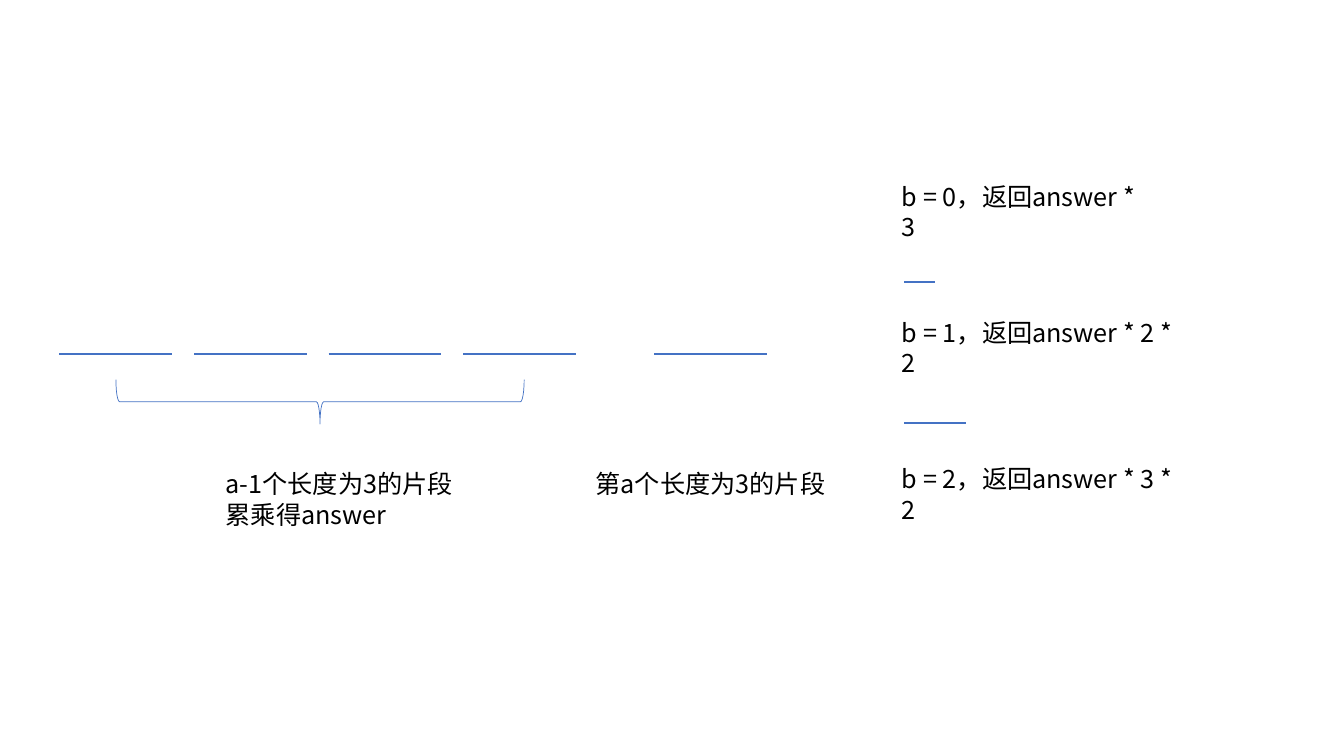
from dataclasses import dataclass
from lxml.etree import SubElement as Sub
from pptx import Presentation
from pptx.dml.color import RGBColor as Color
from pptx.enum.shapes import MSO_CONNECTOR as Link, MSO_SHAPE as Form
from pptx.enum.text import MSO_AUTO_SIZE as Fit
from pptx.oxml.ns import qn
from pptx.util import Pt


@dataclass(frozen=True)
class Theme:
    blue: Color = Color(0x44, 0x72, 0xC4)
    black: Color = Color(0, 0, 0)
    font: str = "Noto Sans CJK SC"
    size: float = 18
    thick: float = 1.5
    thin: float = 0.5


look = Theme()


def draw_line(slide, left, top, width):
    line = slide.shapes.add_connector(
        Link.STRAIGHT, Pt(left), Pt(top), Pt(left + width), Pt(top))
    line.line.color.rgb = look.blue
    line.line.width = Pt(look.thick)
    Sub(line._element.spPr, qn("a:effectLst"))


def draw_text(slide, text, left, top, width, height):
    box = slide.shapes.add_textbox(Pt(left), Pt(top), Pt(width), Pt(height))
    frame = box.text_frame
    frame.word_wrap = True
    frame.auto_size = Fit.SHAPE_TO_FIT_TEXT
    frame.text = text
    for para in frame.paragraphs:
        for run in para.runs:
            font = run.font
            font.name = look.font
            font.size = Pt(look.size)
            font.color.rgb = look.black
            Sub(run._r.get_or_add_rPr(), qn("a:ea"), typeface=look.font)


def draw_brace(slide, left, top, width, height):
    shift = (width - height) / 2
    brace = slide.shapes.add_shape(
        Form.LEFT_BRACE, Pt(left + shift), Pt(top - shift),
        Pt(height), Pt(width))
    brace.rotation = 270
    brace.shadow.inherit = False
    brace.fill.background()
    brace.line.color.rgb = look.blue
    brace.line.width = Pt(look.thin)


def draw_parts(slide, left, top, width):
    part, step, count = 80.6, 96.1, 4
    for i in range(count):
        draw_line(slide, left + i * step, top, part)
    draw_line(slide, left + width - part, top, part)
    draw_brace(slide, left + part / 2, top + 18.4,
               (count - 1) * step + 3.3, 31.7)
    draw_text(slide, "a-1个长度为3的片段\n累乘得answer",
              left + 111.6, top + 78.5, 179.3, 51)
    draw_text(slide, "第a个长度为3的片段",
              left + 375.8, top + 78.5, 178.6, 29)


def draw_cases(slide, left, top, width):
    cases = (
        ("3", 0, width - 26.6, 0),
        ("2 * 2", 97.2, width, 75.6),
        ("3 * 2", 201.6, width, 176.4),
    )
    for b, (tail, drop, wide, rule) in enumerate(cases):
        draw_text(slide, f"b = {b}，返回answer * {tail}",
                  left, top + drop, wide, 29)
        if b:
            draw_line(slide, left + 8.6, top + rule, 22 * b)


deck = Presentation()
deck.slide_width, deck.slide_height = Pt(960), Pt(540)
slide = deck.slides.add_slide(deck.slide_layouts[6])
draw_parts(slide, 42.5, 252.7, 505.4)
draw_cases(slide, 637.2, 126, 219.6)
deck.save("out.pptx")
